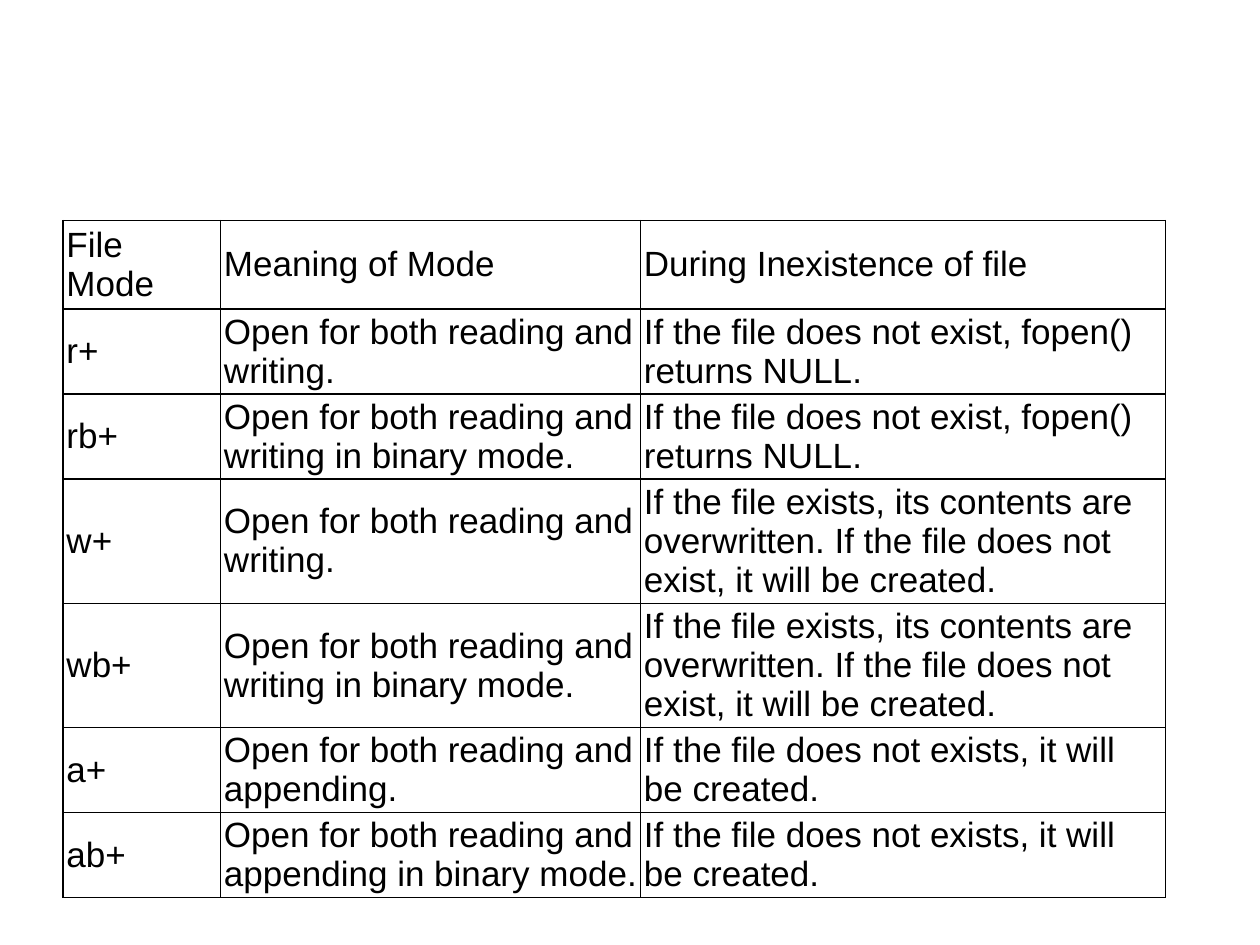
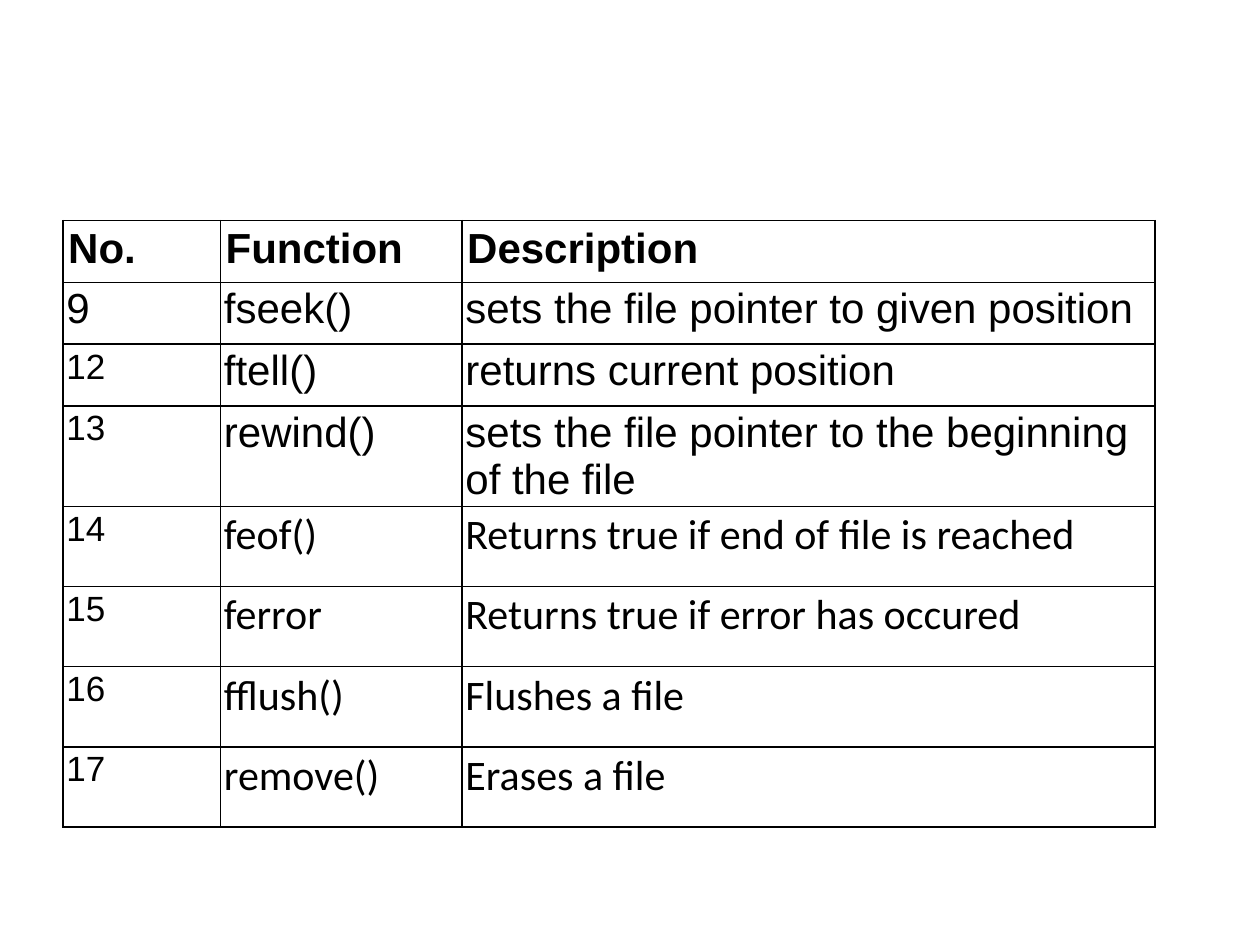
from lxml.etree import SubElement
from pptx import Presentation
from pptx.dml.color import RGBColor
from pptx.enum.text import MSO_ANCHOR
from pptx.oxml.ns import qn
from pptx.util import Pt

BLACK = RGBColor(0, 0, 0)
SANS = "Arial"
BODY = "Calibri"
LEFT, TOP = 36, 126
TIGHT, LOOSE = 2, 3  # cell padding of body and header rows


class Deck:
    """Holds the style and the current slide."""

    def __init__(self):
        self.prs = Presentation()
        self.prs.slide_width, self.prs.slide_height = Pt(720), Pt(540)
        self.slide = None

    def page(self):
        self.slide = self.prs.slides.add_slide(self.prs.slide_layouts[6])

    def edge(self, cell):
        props = cell._tc.get_or_add_tcPr()
        for side in ("lnL", "lnR", "lnT", "lnB"):
            line = SubElement(props, qn(f"a:{side}"), w=str(Pt(1)))
            fill = SubElement(line, qn("a:solidFill"))
            SubElement(fill, qn("a:srgbClr"), val=str(BLACK))

    def cell(self, cell, text, pads, anchor, size, font=SANS, bold=False):
        self.edge(cell)
        cell.fill.background()
        cell.vertical_anchor = anchor
        (cell.margin_left, cell.margin_top,
         cell.margin_right, cell.margin_bottom) = map(Pt, pads)
        run = cell.text_frame.paragraphs[0].add_run()
        run.text = text
        run.font.size, run.font.name, run.font.bold = Pt(size), font, bold
        run.font.color.rgb = BLACK

    def table(self, rows, widths, heights, look):
        """Draw rows; look(r, c) gives the cell's padding, anchor and font."""
        frame = self.slide.shapes.add_table(
            len(rows), len(widths), Pt(LEFT), Pt(TOP),
            Pt(sum(widths)), Pt(sum(heights)))
        grid = frame.table
        grid.first_row = grid.horz_banding = False
        for col, width in zip(grid.columns, widths):
            col.width = Pt(width)
        for r, (row, height) in enumerate(zip(rows, heights)):
            grid.rows[r].height = Pt(height)
            for c, text in enumerate(row):
                self.cell(grid.cell(r, c), text, **look(r, c))


# Slide 1: file modes
BOTH = "Open for both reading and "
NULL = "If the file does not exist, fopen() returns NULL."
OVER = ("If the file exists, its contents are overwritten. "
        "If the file does not exist, it will be created.")
MAKE = "If the file does not exists, it will be created."
MODES = [
    ("File Mode", "Meaning of Mode", "During Inexistence of file"),
    ("r+", BOTH + "writing.", NULL),
    ("rb+", BOTH + "writing in binary mode.", NULL),
    ("w+", BOTH + "writing.", OVER),
    ("wb+", BOTH + "writing in binary mode.", OVER),
    ("a+", BOTH + "appending.", MAKE),
    ("ab+", BOTH + "appending in binary mode.", MAKE),
]

# Slide 2: file functions
CALLS = [
    ("No.", "Function", "Description"),
    ("9", "fseek()", "sets the file pointer to given position"),
    ("12", "ftell()", "returns current position"),
    ("13", "rewind()", "sets the file pointer to the beginning of the file"),
    ("14", "feof()", "Returns true if end of file is reached"),
    ("15", "ferror", "Returns true if error has occured"),
    ("16", "fflush()", "Flushes a file"),
    ("17", "remove()", "Erases a file"),
]


def mode_look(r, c):
    pad = TIGHT if r else LOOSE
    return dict(pads=(2, pad, 1.5, pad), anchor=MSO_ANCHOR.MIDDLE, size=20)


def call_look(r, c):
    pad = TIGHT if r else LOOSE
    return dict(pads=(pad,) * 4, anchor=MSO_ANCHOR.TOP,
                size=20 if c == 0 and r > 1 else 24,
                font=BODY if c and r > 3 else SANS, bold=r == 0)


def main():
    deck = Deck()
    deck.page()
    deck.table(MODES, (90, 240, 300),
               (29, 29, 34, 47.5, 47.5, 29, 34), mode_look)
    deck.page()
    deck.table(CALLS, (90, 138, 396),
               [35.3] * 3 + [45.8] * 5, call_look)
    deck.prs.save("out.pptx")


if __name__ == "__main__":
    main()
